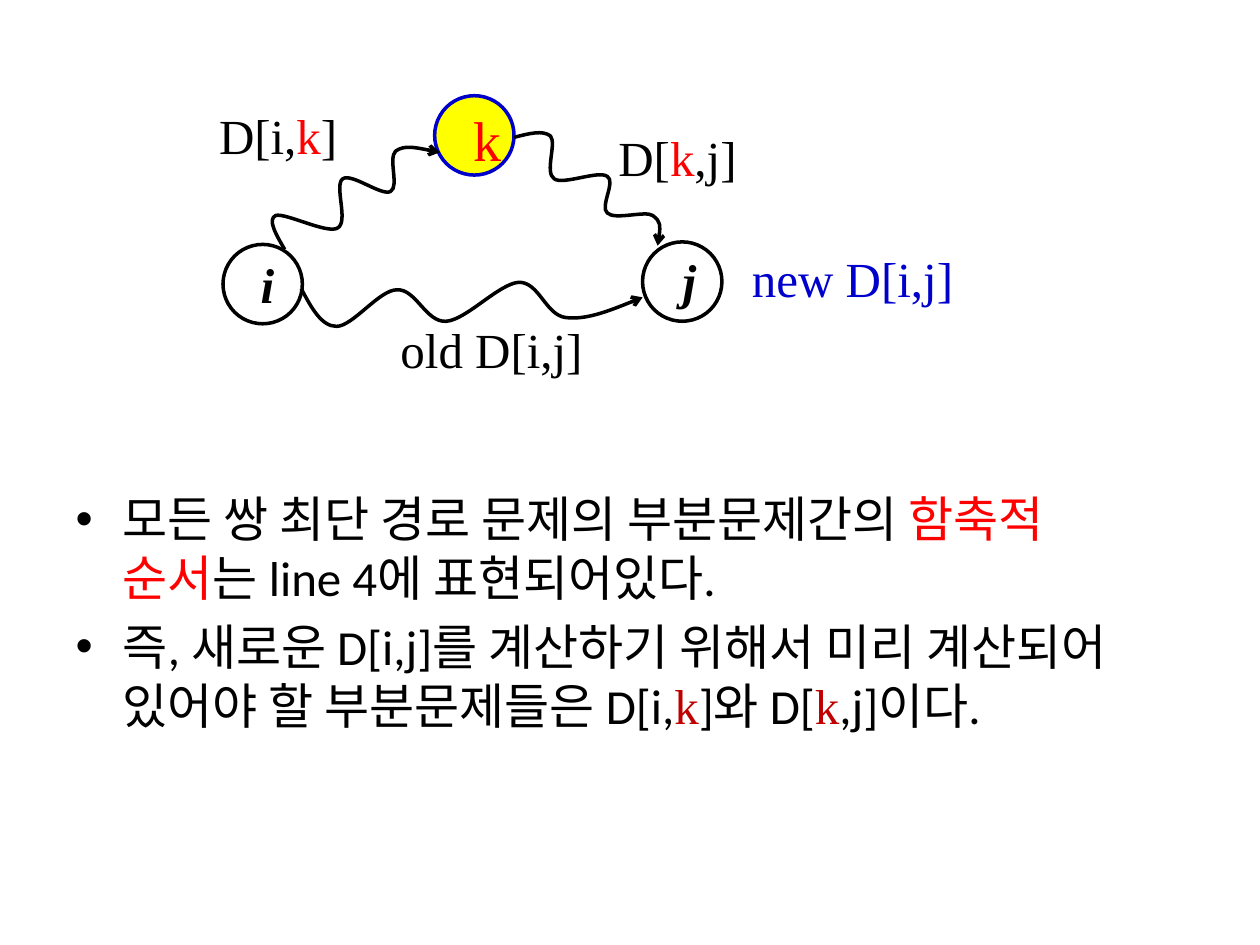
from lxml import etree
from pptx import Presentation
from pptx.dml.color import RGBColor
from pptx.enum.shapes import MSO_SHAPE
from pptx.enum.text import MSO_AUTO_SIZE, PP_ALIGN
from pptx.oxml.ns import qn
from pptx.util import Inches, Pt

OVAL = MSO_SHAPE.OVAL
GROW = MSO_AUTO_SIZE.SHAPE_TO_FIT_TEXT
LEFT, CENTER = PP_ALIGN.LEFT, PP_ALIGN.CENTER
COLS, ROWS, UNIT = 100, 75, 0.1
SERIF, SANS = "Times New Roman", "Calibri"
BLACK, RED, DARK_RED, BLUE, YELLOW = "000000", "FF0000", "C00000", "0000CC", "FFFF00"
NODE = 6.3

NODES = [
    (18.5, 0.6, BLUE, YELLOW),
    (35, 12.2, BLACK, None),
    (1.7, 12.4, BLACK, None),
]
NAMES = [
    ("i", 3.7, 12.7, 5.7, dict(bold=True, italic=True)),
    ("j", 37.2, 12.4, 5.7, dict(bold=True, italic=True)),
    ("k", 20.6, 0.9, 6.4, dict(size=32, color=RED)),
]
LABELS = [
    (0.4, 0.9, 15, [("D[i,", BLACK), ("k", RED), ("]", BLACK)]),
    (32.1, 2.6, 15, [("D[", BLACK), ("k", RED), (",j]", BLACK)]),
    (14.8, 17.9, 16.9, [("old D[i,j]", BLACK)]),
    (42.7, 12.2, 22, [("new D[i,j]", BLUE)]),
]
PATHS = [
    [(7.9, 15.9), (8.7, 17.4), (9.5, 18.9), (10.7, 18.9), (12, 18.9), (14.1, 16),
     (15.5, 16), (17, 15.9), (17.8, 18.6), (19.4, 18.5), (21, 18.4), (23.6, 15.5),
     (25.2, 15.4), (26.8, 15.4), (27.3, 18), (28.9, 18.2), (30.5, 18.4),
     (32.8, 17.5), (35, 16.6)],
    [(24.8, 3.9), (26, 3.6), (27.1, 3.3), (27.7, 3.8), (28.2, 4.4), (27.2, 6.7),
     (28, 7.2), (28.7, 7.7), (31.5, 6.5), (32.2, 7), (32.9, 7.4), (31.6, 9.4),
     (32.2, 9.9), (32.8, 10.5), (35.2, 9.7), (35.8, 10.1), (36.5, 10.6),
     (36.4, 11.5), (36.2, 12.5)],
    [(6.6, 12.8), (5.9, 11.6), (5.2, 10.4), (5.9, 10.1), (6.7, 9.9), (10, 11.6),
     (10.8, 11.1), (11.7, 10.6), (10.5, 7.7), (11.2, 7.2), (11.9, 6.7), (14.3, 8.6),
     (15, 8.2), (15.7, 7.8), (14.8, 5.6), (15.4, 5), (16.1, 4.5), (17.5, 4.8),
     (18.9, 5.1)],
]
BULLETS = [
    [("모든 쌍 최단 경로 문제의 부분문제간의 ", SANS, BLACK), ("함축적 순서", SANS, RED),
     ("는 line 4에 표현되어있다.", SANS, BLACK)],
    [("즉, 새로운 D[i,j]를 계산하기 위해서 미리 계산되어 있어야 할 부분문제들은 D[i,", SANS, BLACK),
     ("k", SERIF, DARK_RED), ("]와 D[", SANS, BLACK),
     ("k", SERIF, DARK_RED), (",j]이다.", SANS, BLACK)],
]


def grid(*cells):
    return [Inches(c * UNIT) for c in cells]


def rgb(value):
    return RGBColor.from_string(value)


def add_text(p, text, font=SERIF, size=28, color=BLACK, bold=False, italic=False):
    r = p.add_run()
    r.text = text
    f = r.font
    f.name, f.size, f.bold, f.italic = font, Pt(size), bold, italic
    f.color.rgb = rgb(color)


def style(sp, line, fill=None):
    sp.shadow.inherit = False
    sp.line.color.rgb = rgb(line)
    sp.line.width = Pt(2)
    if fill:
        sp.fill.solid()
        sp.fill.fore_color.rgb = rgb(fill)
    else:
        sp.fill.background()


def text_box(s, x, y, w, h, align=LEFT):
    tf = s.shapes.add_textbox(*grid(x, y, w, h)).text_frame
    tf.word_wrap = True
    tf.auto_size = GROW
    p = tf.paragraphs[0]
    p.alignment = align
    return p


def wavy_arrow(s, points):
    start, *rest = [grid(*pt) for pt in points]
    fb = s.shapes.build_freeform(*start)
    fb.add_line_segments(rest, close=False)
    sp = fb.convert_to_shape()
    style(sp, BLACK)
    segments = list(sp._element.iter(qn("a:lnTo")))
    for n in range(0, len(segments), 3):
        curve = etree.SubElement(segments[n].getparent(), qn("a:cubicBezTo"))
        for seg in segments[n:n + 3]:
            curve.append(seg[0])
            seg.getparent().remove(seg)
    ln = sp._element.spPr.find(qn("a:ln"))
    etree.SubElement(ln, qn("a:tailEnd"), type="arrow")


def graph(s, left, top):
    for x, y, line, fill in NODES:
        style(s.shapes.add_shape(OVAL, *grid(left + x, top + y, NODE, NODE)), line, fill)
    for text, x, y, h, fmt in NAMES:
        add_text(text_box(s, left + x, top + y, 2.4, h, CENTER), text, **fmt)
    for points in PATHS:
        wavy_arrow(s, [(left + x, top + y) for x, y in points])
    for x, y, w, runs in LABELS:
        p = text_box(s, left + x, top + y, w, 5.7)
        for text, color in runs:
            add_text(p, text, color=color)


def bullets(s, left, top, width, height):
    body = s.placeholders[1]
    body.left, body.top, body.width, body.height = grid(left, top, width, height)
    tf = body.text_frame
    for n, runs in enumerate(BULLETS):
        p = tf.add_paragraph() if n else tf.paragraphs[0]
        for text, font, color in runs:
            add_text(p, text, font=font, color=color)


def main():
    prs = Presentation()
    prs.slide_width, prs.slide_height = grid(COLS, ROWS)
    s = prs.slides.add_slide(prs.slide_layouts[1])
    title = s.shapes.title._element
    title.getparent().remove(title)
    bullets(s, 5, 38.3, 90, 28.7)
    graph(s, 16, 7)
    prs.save("out.pptx")


if __name__ == "__main__":
    main()
